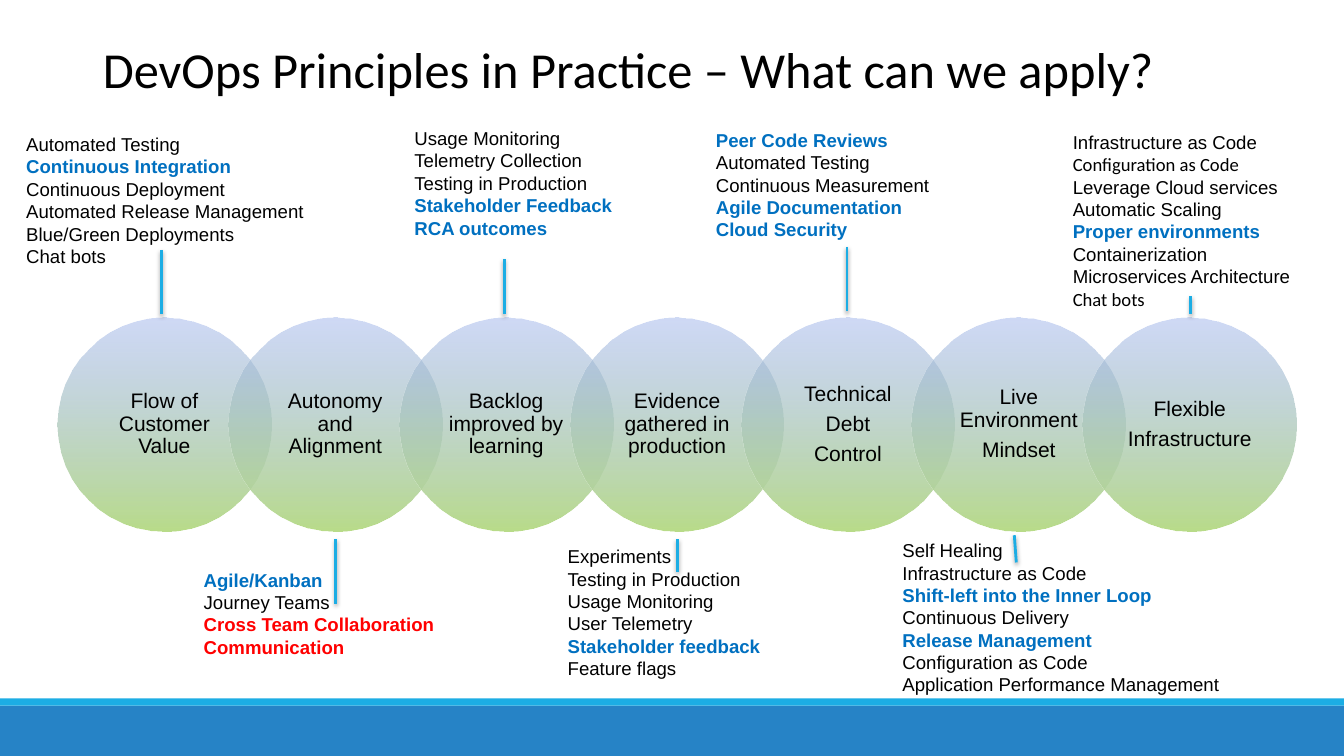
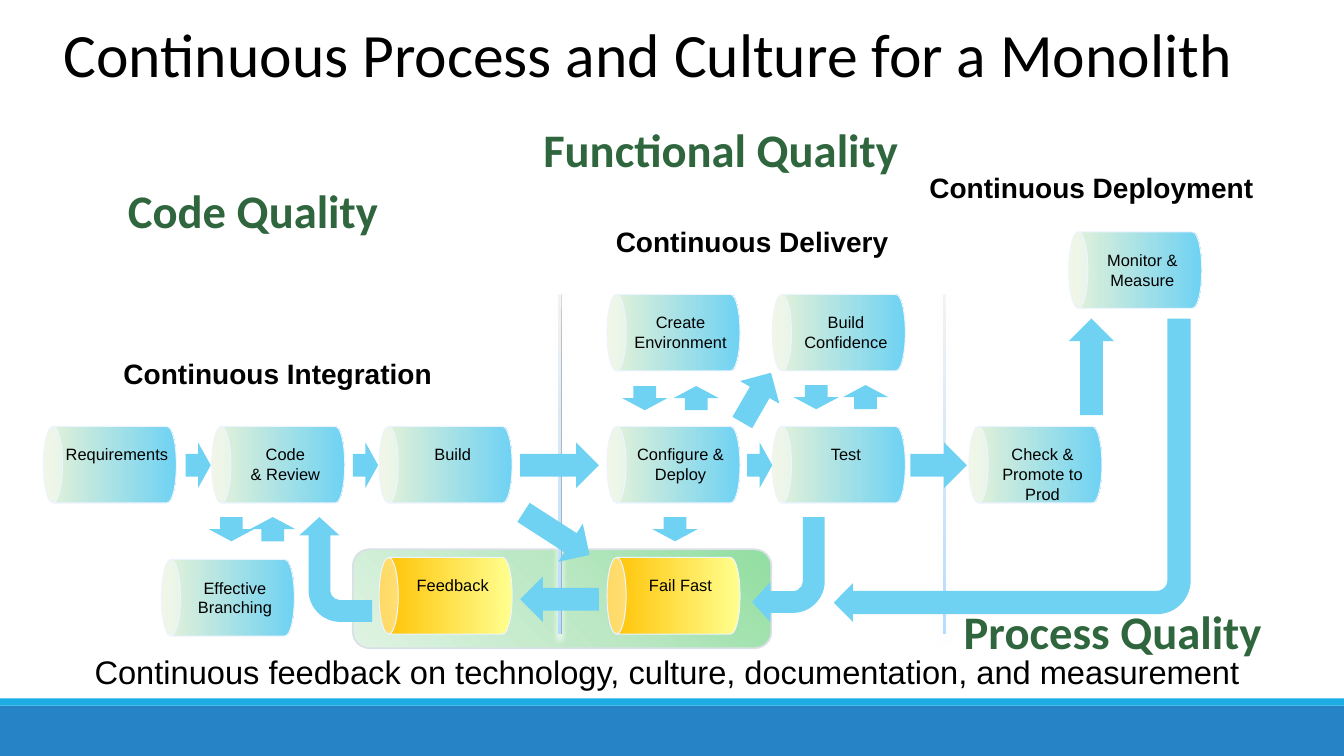
import pptx
import pptx.util
import pptx.dml.color
import pptx.enum.shapes
import pptx.enum.text
import pptx.oxml
import pptx.oxml.ns
from lxml import etree

Inches, Pt = pptx.util.Inches, pptx.util.Pt
qn = pptx.oxml.ns.qn
SHAPE = pptx.enum.shapes.MSO_SHAPE
ALIGN = pptx.enum.text.PP_ALIGN
ANCHOR = pptx.enum.text.MSO_ANCHOR

BLUE, CYAN, SKY, BLACK = "2683C6", "1CADE4", "6FD2F3", "000000"
DEFAULT_INSETS = (0.1, 0.05)
TIGHT_INSETS = (0.08, 0.04)
BODY = dict(name="Arial", size=Pt(13.3), color=BLACK, bold=False)
KEY = dict(color="0070C0", bold=True)
ALERT = dict(color="FF0000", bold=True)
CALIBRI = dict(name="Calibri")
TITLE = dict(name="Calibri", color=BLACK)
CIRCLE_TEXT = dict(name="Arial", size=Pt(15), color=BLACK)
STEP_TEXT = dict(name="Arial", size=Pt(11.7), color=BLACK)
STAGE = dict(name="Arial", size=Pt(20), color=BLACK, bold=True)
QUALITY = dict(name="Calibri", size=Pt(33.3), color="2F663E", bold=True)
CLOSING = dict(name="Arial", size=Pt(23.3), color=BLACK)

CIRCLE_STOPS = [(0, "B9DC8A", 100), (100, "9EB3EB", 49)]
STEP_STOPS = [(0, "E8F3D7", 100), (100, SKY, 100)]
FEEDBACK_STOPS = [(0, "FFC000", 100), (100, "FFFF8F", 100)]
DIVIDER_STOPS = [(0, "F2F2F2", 100), (100, "B5DCFF", 100)]
PANEL_STOPS = [(0, "91DEA0", 100), (50, "BDE8C5", 100), (100, "DFF3E3", 100)]

PRINCIPLES = [
    ["Flow of Customer Value"],
    ["Autonomy and Alignment"],
    ["Backlog improved by learning"],
    ["Evidence gathered in production"],
    ["Technical", "Debt", "Control"],
    ["Live Environment", "Mindset"],
    ["Flexible", "Infrastructure"],
]

# Box of each list, then its lines; a pair adds formatting to a line
PRACTICES = [
    ((0.18, 1.28, 3.14, 1.24), [
        "Automated Testing", ("Continuous Integration", KEY),
        "Continuous Deployment", "Automated Release Management",
        "Blue/Green Deployments", "Chat bots"]),
    ((1.94, 5.6, 2.67, 0.98), [
        ("Agile/Kanban", KEY), "Journey Teams",
        ("Cross Team Collaboration", ALERT), ("Communication", ALERT)]),
    ((4.03, 1.22, 2.19, 1.21), [
        "Usage Monitoring", "Telemetry Collection", "Testing in Production",
        ("Stakeholder Feedback", KEY), ("RCA outcomes", KEY)]),
    ((5.55, 5.37, 2.22, 1.43), [
        "Experiments", "Testing in Production", "Usage Monitoring",
        "User Telemetry", ("Stakeholder feedback", KEY), "Feature flags"]),
    ((7.02, 1.24, 2.85, 1.43), [
        ("Peer Code Reviews", KEY), "Automated Testing",
        "Continuous Measurement", ("Agile Documentation", KEY),
        ("Cloud Security", KEY)]),
    ((8.87, 5.31, 3.36, 1.65), [
        "Self Healing", "Infrastructure as Code",
        ("Shift-left into the Inner Loop", KEY), "Continuous Delivery",
        ("Release Management", KEY), "Configuration as Code",
        "Application Performance Management"]),
    ((10.56, 1.26, 2.78, 1.86), [
        "Infrastructure as Code", ("Configuration as Code", CALIBRI),
        "Leverage Cloud services", "Automatic Scaling",
        ("Proper environments", KEY), "Containerization",
        "Microservices Architecture", ("Chat bots", CALIBRI)]),
]

# Start and end of each line between a list and its circle
LINKS = [
    (1.6, 2.48, 1.6, 3.12), (3.33, 5.35, 3.33, 5.99),
    (5, 2.57, 5, 3.12), (6.72, 5.35, 6.72, 5.67),
    (8.4, 2.45, 8.4, 3.09), (10.06, 5.31, 10.08, 5.58),
    (11.81, 2.94, 11.81, 3.12),
]

# Centre of each step and its lines
STEPS = [
    (1.09, 4.61, ["Requirements"]),
    (2.76, 4.61, ["Code", "& Review"]),
    (4.42, 4.61, ["Build"]),
    (6.68, 4.61, ["Configure & Deploy"]),
    (8.32, 4.61, ["Test"]),
    (10.27, 4.61, ["Check & Promote to Prod"]),
    (11.26, 2.68, ["Monitor & Measure"]),
    (2.26, 5.93, ["Effective Branching"]),
    (6.68, 3.3, ["Create Environment"]),
    (8.32, 3.3, ["Build Confidence"]),
]
FEEDBACK_STEPS = [(4.42, 5.91, ["Feedback"]), (6.68, 5.91, ["Fail Fast"])]

# Preset, box and rotation
ARROWS = [
    (SHAPE.LEFT_ARROW, (5.16, 5.72, 0.78, 0.45), 0),
    (SHAPE.RIGHT_ARROW, (1.84, 4.39, 0.25, 0.45), 0),
    (SHAPE.RIGHT_ARROW, (3.5, 4.39, 0.25, 0.45), 0),
    (SHAPE.RIGHT_ARROW, (5.16, 4.39, 0.78, 0.45), 0),
    (SHAPE.RIGHT_ARROW, (7.41, 4.39, 0.25, 0.45), 0),
    (SHAPE.RIGHT_ARROW, (9.03, 4.39, 0.56, 0.45), 0),
    (SHAPE.RIGHT_ARROW, (5.13, 5.07, 0.78, 0.45), 32.8),
    (SHAPE.DOWN_ARROW, (2.07, 5.13, 0.45, 0.24), 0),
    (SHAPE.DOWN_ARROW, (6.17, 3.83, 0.45, 0.24), 0),
    (SHAPE.DOWN_ARROW, (6.47, 5.13, 0.45, 0.24), 0),
    (SHAPE.DOWN_ARROW, (7.87, 3.82, 0.45, 0.24), 0),
    (SHAPE.UP_ARROW, (2.48, 5.13, 0.45, 0.24), 0),
    (SHAPE.UP_ARROW, (6.68, 3.83, 0.45, 0.24), 0),
    (SHAPE.UP_ARROW, (8.36, 3.82, 0.45, 0.24), 0),
    (SHAPE.UP_ARROW, (7.28, 3.66, 0.45, 0.57), 30),
    (SHAPE.UP_ARROW, (10.6, 3.16, 0.45, 0.96), 0),
]

# Box, rotation and adjustments
BENT_ARROWS = [
    ((2.81, 5.29, 1.04, 0.72), 270, (0.3, 0.275, 0.25, 0.438)),
    ((7.46, 5.13, 0.72, 1.04), 180, (0.3, 0.275, 0.25, 0.438)),
    ((8.27, 3.16, 3.54, 3.01), 180, (0.077, 0.064, 0.063, 0.112)),
]

LABELS = [
    ((0.88, 3.5, 3.75, 0.42), "Continuous Integration", STAGE),
    ((5.72, 2.19, 3.48, 0.42), "Continuous Delivery", STAGE),
    ((9.13, 1.65, 3.39, 0.42), "Continuous Deployment", STAGE),
    ((0.22, 6.43, 12.79, 0.42),
     "Continuous feedback on technology, culture, documentation, and measurement",
     CLOSING),
]
QUALITIES = [
    ((1.17, 1.76, 3.18, 0.66), "Code Quality"),
    ((9.46, 5.93, 3.73, 0.66), "Process Quality"),
    ((5.29, 1.15, 4.29, 0.66), "Functional Quality"),
]


def rgb(value):
    return pptx.dml.color.RGBColor.from_string(value)


def inches(values):
    return [Inches(v) for v in values]


def style(font, fmt):
    for key, value in fmt.items():
        if key == "color":
            font.color.rgb = rgb(value)
        else:
            setattr(font, key, value)


def write(tf, lines, fmt, insets=TIGHT_INSETS, align=ALIGN.LEFT,
          anchor=ANCHOR.TOP, spacing=1.0, gap=0):
    """Fill a frame with one paragraph for each line."""
    tf.word_wrap = True
    tf.auto_size = pptx.enum.text.MSO_AUTO_SIZE.NONE
    tf.vertical_anchor = anchor
    tf.margin_left = tf.margin_right = Inches(insets[0])
    tf.margin_top = tf.margin_bottom = Inches(insets[1])
    for i, line in enumerate(lines):
        text, extra = (line, {}) if isinstance(line, str) else line
        p = tf.add_paragraph() if i else tf.paragraphs[0]
        p.alignment, p.line_spacing = align, spacing
        if i and gap:
            p.space_before = Pt(gap)
        r = p.add_run()
        r.text = text
        style(r.font, {**fmt, **extra})


def add_text(s, box, lines, fmt, **options):
    write(s.shapes.add_textbox(*inches(box)).text_frame, lines, fmt, **options)


def add_shape(s, preset, box, fill=None, line=None, rotation=0):
    """Add a shape without shadow; line is a colour and a width."""
    sp = s.shapes.add_shape(preset, *inches(box))
    sp.shadow.inherit = False
    sp.rotation = rotation
    if fill:
        sp.fill.solid()
        sp.fill.fore_color.rgb = rgb(fill)
    if line:
        sp.line.color.rgb = rgb(line[0])
        sp.line.width = Pt(line[1])
    else:
        sp.line.fill.background()
    return sp


def add_color(parent, color, alpha):
    clr = etree.SubElement(parent, qn("a:srgbClr"), val=color)
    if alpha < 100:
        etree.SubElement(clr, qn("a:alpha"), val=str(alpha * 1000))


def set_gradient(sp, stops, angle=None):
    """Linear at an angle in degrees, or else round from the top right."""
    sp.fill.gradient()
    grad = sp.element.spPr.find(qn("a:gradFill"))
    for child in list(grad):
        grad.remove(child)
    gs_list = etree.SubElement(grad, qn("a:gsLst"))
    for pos, color, alpha in stops:
        gs = etree.SubElement(gs_list, qn("a:gs"), pos=str(pos * 1000))
        add_color(gs, color, alpha)
    if angle is None:
        circle = etree.SubElement(grad, qn("a:path"), path="circle")
        etree.SubElement(circle, qn("a:fillToRect"), l="100000", b="100000")
    else:
        etree.SubElement(grad, qn("a:lin"), ang=str(angle * 60000), scaled="0")


def set_shadow(sp, color, alpha, blur, dist):
    """Drop a shadow straight down; blur and distance are in points."""
    spPr = sp.element.spPr
    effects = spPr.find(qn("a:effectLst"))
    if effects is None:
        effects = etree.SubElement(spPr, qn("a:effectLst"))
    outer = etree.SubElement(effects, qn("a:outerShdw"), blurRad=str(Pt(blur)),
                             dist=str(Pt(dist)), dir="5400000", rotWithShape="0")
    add_color(outer, color, alpha)


def add_link(s, ends):
    line = s.shapes.add_connector(pptx.enum.shapes.MSO_CONNECTOR.STRAIGHT,
                                  *inches(ends))
    line.line.color.rgb = rgb(CYAN)
    line.line.width = Pt(2)
    set_shadow(line, BLACK, 37, 3.1, 1.6)


def add_step(s, cx, cy, lines, stops):
    """Lay a can on its side around a centre, with its label upright."""
    w, h = 0.76, 1.32
    can = add_shape(s, SHAPE.CAN, (cx - w / 2, cy - h / 2, w, h),
                    line=("ECF4FF", 0.75), rotation=270)
    set_gradient(can, stops, 90)
    add_text(s, (cx - 0.52, cy - 0.24, 1.18, 0.48), lines, STEP_TEXT,
             align=ALIGN.CENTER)


def add_slide(prs, title, box, size, **options):
    s = prs.slides.add_slide(prs.slide_layouts[5])
    sp = s.shapes.title
    sp.left, sp.top, sp.width, sp.height = inches(box)
    write(sp.text_frame, [title], {**TITLE, "size": Pt(size)}, spacing=0.9,
          **options)
    return s


def add_layout_bands(s):
    """Draw the bottom bands and move them to the layout of the slide."""
    for top, height, color in ((7, 0.5, BLUE), (6.93, 0.07, CYAN)):
        band = add_shape(s, SHAPE.RECTANGLE, (0, top, 13.33, height), color)
        s.slide_layout.shapes.element.append(band.element)


def fill_principles(s):
    for i, lines in enumerate(PRINCIPLES):
        circle = add_shape(s, SHAPE.OVAL, (0.57 + i * 1.695, 3.15, 2.12, 2.12))
        set_gradient(circle, CIRCLE_STOPS, 270)
        write(circle.text_frame, lines, CIRCLE_TEXT, insets=(0.12, 0.02),
              align=ALIGN.CENTER, anchor=ANCHOR.MIDDLE, spacing=0.9, gap=5.2)
    for box, lines in PRACTICES:
        add_text(s, box, lines, BODY)
    for ends in LINKS:
        add_link(s, ends)


def fill_process(s):
    panel = add_shape(s, SHAPE.ROUNDED_RECTANGLE, (3.5, 5.45, 4.15, 0.98),
                      line=("D9E0E6", 1.25))
    set_gradient(panel, PANEL_STOPS)
    for steps, stops in ((STEPS, STEP_STOPS), (FEEDBACK_STEPS, FEEDBACK_STOPS)):
        for cx, cy, lines in steps:
            add_step(s, cx, cy, lines, stops)
    for left in (5.53, 9.35):
        divider = add_shape(s, SHAPE.CUBE, (left, 2.92, 0.04, 3.37))
        set_gradient(divider, DIVIDER_STOPS, 90)
        set_shadow(divider, "FFFFFF", 100, 4, 4)
    for preset, box, rotation in ARROWS:
        add_shape(s, preset, box, SKY, rotation=rotation)
    for box, rotation, adjustments in BENT_ARROWS:
        arrow = add_shape(s, SHAPE.BENT_ARROW, box, SKY, rotation=rotation)
        for i, value in enumerate(adjustments):
            arrow.adjustments[i] = value
    for box, text, fmt in LABELS:
        add_text(s, box, [text], fmt, align=ALIGN.CENTER)
    for box, text in QUALITIES:
        add_text(s, box, [text], QUALITY, insets=DEFAULT_INSETS)


def main():
    prs = pptx.Presentation()
    prs.slide_width, prs.slide_height = inches((13.33, 7.5))
    s = add_slide(prs, "DevOps Principles in Practice – What can we apply?",
                  (0.92, 0.4, 11.5, 0.79), 36, insets=DEFAULT_INSETS)
    add_layout_bands(s)
    fill_principles(s)
    s = add_slide(prs, "Continuous Process and Culture for a Monolith",
                  (0.55, 0, 12.78, 1.15), 44, anchor=ANCHOR.MIDDLE)
    fill_process(s)
    prs.save("out.pptx")


if __name__ == "__main__":
    main()
